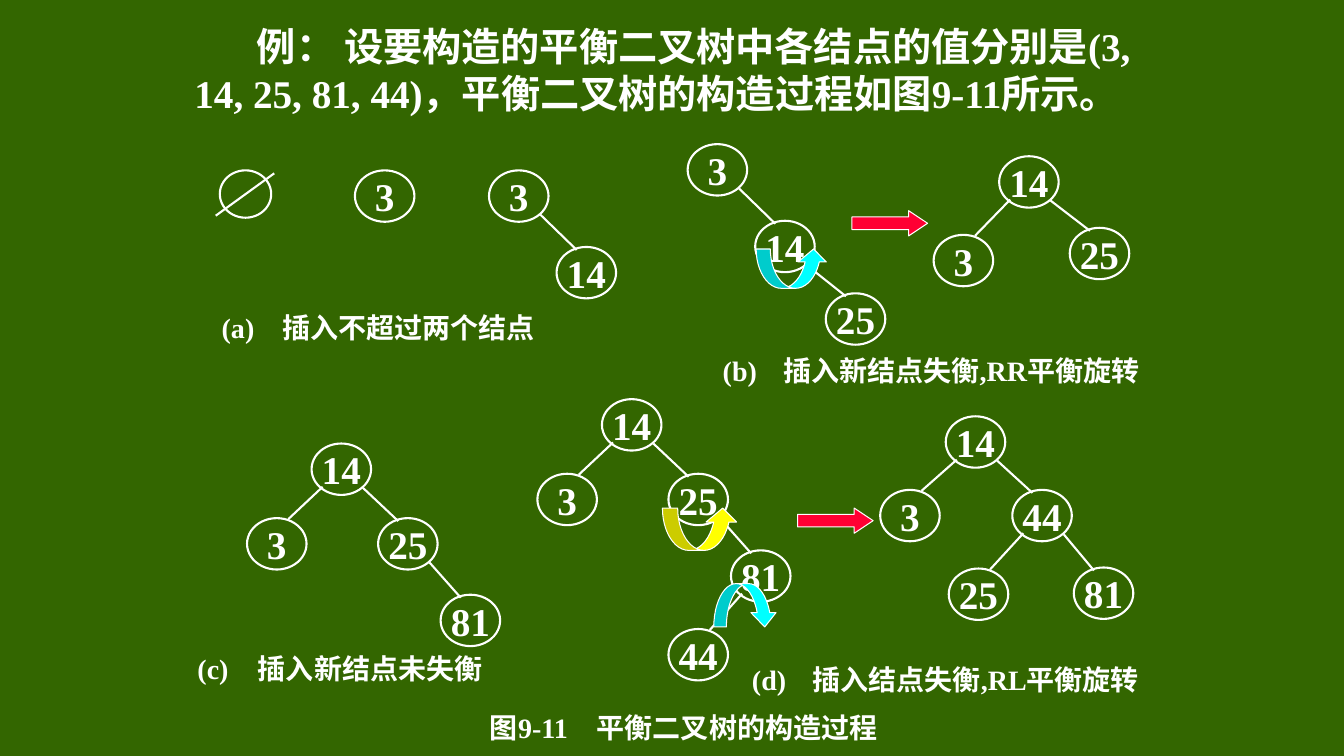
from dataclasses import dataclass

import pptx
import pptx.dml.color
import pptx.enum.shapes
import pptx.enum.text
import pptx.oxml.ns
import pptx.util

Inches = pptx.util.Inches
Pt = pptx.util.Pt
RGBColor = pptx.dml.color.RGBColor
Align = pptx.enum.text.PP_ALIGN
Anchor = pptx.enum.text.MSO_ANCHOR
Shape = pptx.enum.shapes.MSO_SHAPE
qn = pptx.oxml.ns.qn

GREEN = RGBColor(0x33, 0x66, 0x00)
WHITE = RGBColor(0xFF, 0xFF, 0xFF)
RED = RGBColor(0xFF, 0x00, 0x33)
CYAN = RGBColor(0x00, 0xFF, 0xFF)
YELLOW = RGBColor(0xFF, 0xFF, 0x00)

LATIN_FONT = "Times New Roman"
CJK_FONT = "Noto Sans CJK SC"
NODE_W, NODE_H = 0.59, 0.51

# Where an edge leaves the parent and meets the child, from each node's corner
RIGHT_EDGE = ((0.51, 0.44), (0.20, 0.03))
LEFT_EDGE = ((0.11, 0.43), (0.41, 0.01))


@dataclass
class Node:
    value: int
    x: float
    y: float
    left: "Node | None" = None
    right: "Node | None" = None


@dataclass
class Arrow:
    kind: Shape
    x: float
    y: float
    w: float
    h: float
    color: RGBColor
    adj: tuple[float, ...]


@dataclass
class Label:
    text: str
    x: float
    y: float
    w: float
    h: float
    tab: float = 0.6
    inset: float = 0.1


TREES = [
    # (a) one node, then two
    Node(3, 3.52, 1.69),
    Node(3, 4.85, 1.69, right=Node(14, 5.52, 2.45)),
    # (b) before and after the RR rotation
    Node(3, 6.82, 1.43, right=Node(14, 7.49, 2.19, right=Node(25, 8.19, 2.91))),
    Node(14, 9.91, 1.55, Node(3, 9.26, 2.33), Node(25, 10.61, 2.26)),
    # (c) still balanced
    Node(14, 3.09, 4.40, Node(3, 2.45, 5.14),
         Node(25, 3.75, 5.14, right=Node(81, 4.37, 5.90))),
    # (d) before and after the RL rotation
    Node(14, 5.97, 3.96, Node(3, 5.33, 4.70),
         Node(25, 6.63, 4.70,
              right=Node(81, 7.25, 5.46, left=Node(44, 6.63, 6.24)))),
    Node(14, 9.38, 4.13, Node(3, 8.73, 4.86),
         Node(44, 10.04, 4.86, Node(25, 9.41, 5.64), Node(81, 10.65, 5.63))),
]

ARROWS = [
    Arrow(Shape.RIGHT_ARROW, 8.45, 2.09, 0.75, 0.25, RED, (0.5, 0.75)),
    Arrow(Shape.CURVED_UP_ARROW, 7.50, 2.47, 0.71, 0.39, CYAN, (0.36, 0.72, 0.33)),
    Arrow(Shape.RIGHT_ARROW, 7.91, 5.04, 0.75, 0.25, RED, (0.5, 0.75)),
    Arrow(Shape.CURVED_DOWN_ARROW, 7.08, 5.79, 0.63, 0.43, CYAN, (0.29, 0.58, 0.33)),
    Arrow(Shape.CURVED_UP_ARROW, 6.57, 5.04, 0.75, 0.42, YELLOW, (0.36, 0.72, 0.33)),
]

LABELS = [
    Label("(a)\t插入不超过两个结点", 2.10, 3.03, 3.35, 0.43),
    Label("(b)\t插入新结点失衡,RR平衡旋转", 7.07, 3.48, 4.50, 0.39),
    Label("(c)\t插入新结点未失衡", 1.86, 6.47, 2.99, 0.31),
    Label("(d)\t插入结点失衡,RL平衡旋转", 7.36, 6.54, 4.20, 0.40),
    Label("图9-11\t平衡二叉树的构造过程", 4.86, 7.06, 3.95, 0.32, tab=1.06, inset=0),
]

TITLE = ("例： 设要构造的平衡二叉树中各结点的值分别是(3, 14, 25, 81, 44)，"
         "平衡二叉树的构造过程如图9-11所示。")


def write_text(tf, text: str, *, size: float, align=Align.LEFT, anchor=Anchor.MIDDLE,
               wrap: bool = True, indent: float = 0, tab: float = 0) -> None:
    tf.word_wrap = wrap
    tf.vertical_anchor = anchor
    p = tf.paragraphs[0]
    p.alignment = align
    pPr = p._p.get_or_add_pPr()
    if indent:
        pPr.set("indent", str(Inches(indent)))
    if tab:
        tab_list = pPr.makeelement(qn("a:tabLst"), {})
        stop = {"pos": str(Inches(tab)), "algn": "l"}
        tab_list.append(pPr.makeelement(qn("a:tab"), stop))
        pPr.append(tab_list)
    r = p.add_run()
    r.text = text
    r.font.size = Pt(size)
    r.font.bold = True
    r.font.color.rgb = WHITE
    r.font.name = LATIN_FONT
    rPr = r._r.get_or_add_rPr()
    rPr.append(rPr.makeelement(qn("a:ea"), {"typeface": CJK_FONT}))


def add_line(shapes, x1: float, y1: float, x2: float, y2: float) -> None:
    line = shapes.add_connector(pptx.enum.shapes.MSO_CONNECTOR.STRAIGHT,
                                Inches(x1), Inches(y1), Inches(x2), Inches(y2))
    line.line.color.rgb = WHITE
    line.line.width = Pt(1.5)
    spPr = line._element.spPr
    spPr.append(spPr.makeelement(qn("a:effectLst"), {}))


def add_ellipse(shapes, x: float, y: float, w: float, h: float):
    sp = shapes.add_shape(Shape.OVAL, Inches(x), Inches(y), Inches(w), Inches(h))
    sp.shadow.inherit = False
    sp.fill.background()
    sp.line.color.rgb = WHITE
    sp.line.width = Pt(1.5)
    return sp


def add_tree(shapes, node: Node) -> None:
    sp = add_ellipse(shapes, node.x, node.y, NODE_W, NODE_H)
    write_text(sp.text_frame, str(node.value), size=28, align=Align.CENTER, wrap=False)
    for child, edge in ((node.left, LEFT_EDGE), (node.right, RIGHT_EDGE)):
        if child:
            (dx1, dy1), (dx2, dy2) = edge
            add_line(shapes, node.x + dx1, node.y + dy1, child.x + dx2, child.y + dy2)
            add_tree(shapes, child)


def add_arrow(shapes, arrow: Arrow) -> None:
    sp = shapes.add_shape(arrow.kind, Inches(arrow.x), Inches(arrow.y),
                          Inches(arrow.w), Inches(arrow.h))
    sp.shadow.inherit = False
    sp.fill.solid()
    sp.fill.fore_color.rgb = arrow.color
    sp.line.color.rgb = WHITE
    sp.line.width = Pt(0.75)
    for i, value in enumerate(arrow.adj):
        sp.adjustments[i] = value


def add_label(shapes, label: Label) -> None:
    sp = shapes.add_textbox(Inches(label.x), Inches(label.y),
                            Inches(label.w), Inches(label.h))
    sp.text_frame.margin_left = Inches(label.inset)
    sp.text_frame.margin_right = 0
    write_text(sp.text_frame, label.text, size=20, tab=label.tab)


def main() -> None:
    prs = pptx.Presentation()
    prs.slide_width, prs.slide_height = Inches(13.33), Inches(7.5)
    s = prs.slides.add_slide(prs.slide_layouts[6])
    s.background.fill.solid()
    s.background.fill.fore_color.rgb = GREEN

    # Problem statement
    sp = s.shapes.add_textbox(Inches(1.83), Inches(0.17), Inches(9.64), Inches(1.08))
    write_text(sp.text_frame, TITLE, size=28, anchor=Anchor.TOP, indent=0.62)

    # Empty tree: a struck-through circle
    add_ellipse(s.shapes, 2.18, 1.69, 0.51, 0.47)
    add_line(s.shapes, 2.72, 1.72, 2.14, 2.14)

    # Trees, rotation arrows, captions
    for tree in TREES:
        add_tree(s.shapes, tree)
    for arrow in ARROWS:
        add_arrow(s.shapes, arrow)
    for label in LABELS:
        add_label(s.shapes, label)

    prs.save("out.pptx")


if __name__ == "__main__":
    main()
